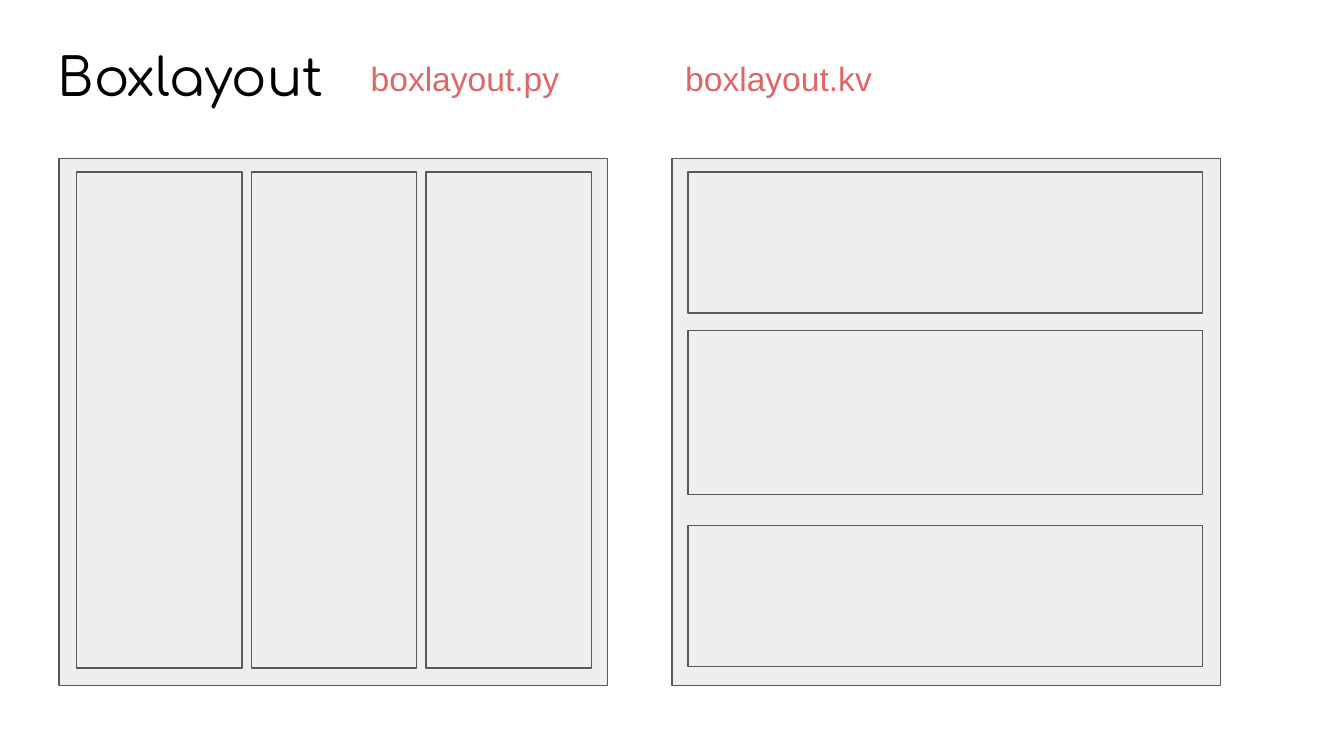
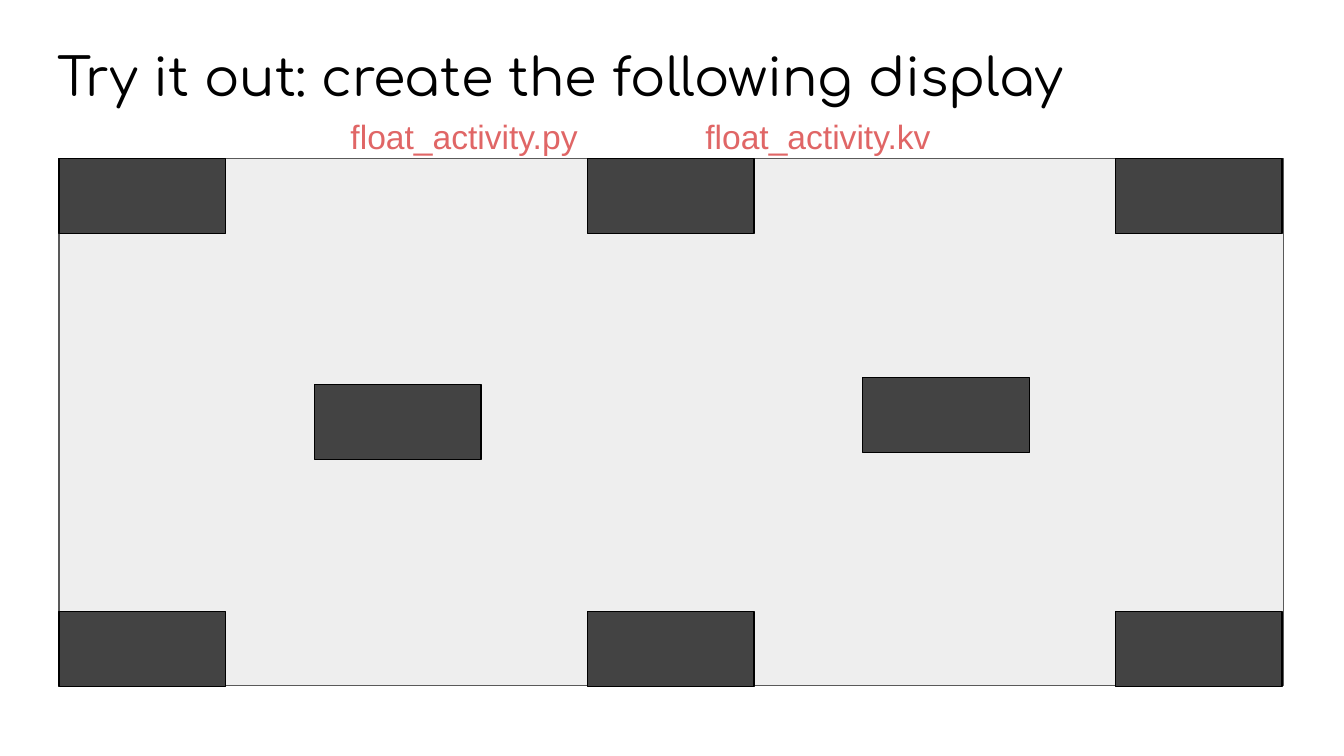
from itertools import product

from pptx import Presentation
from pptx import util as u
from pptx.dml.color import RGBColor
from pptx.enum import shapes, text

# Shared look
BLACK = RGBColor(0x00, 0x00, 0x00)
CORAL = RGBColor(0xE0, 0x66, 0x66)
PALE = RGBColor(0xEE, 0xEE, 0xEE)
GREY = RGBColor(0x59, 0x59, 0x59)
CHARCOAL = RGBColor(0x43, 0x43, 0x43)

TITLE_FONT = {"name": "Comfortaa", "size": u.Pt(28), "bold": False}
FILE_FONT = {"name": "Arial", "size": u.Pt(18)}
FRAME = {"word_wrap": True, "auto_size": text.MSO_AUTO_SIZE.NONE,
         "vertical_anchor": text.MSO_ANCHOR.TOP,
         **{f"margin_{side}": u.Inches(0.1)
            for side in ("left", "right", "top", "bottom")}}

PANEL_TOP, PANEL_HEIGHT = 1.18, 3.92
LEFT_MARGIN = 0.44


def apply(target, values):
    for name, value in values.items():
        setattr(target, name, value)


def write(shape, words, font, color):
    apply(shape.text_frame, FRAME)
    paragraph = shape.text_frame.paragraphs[0]
    paragraph.alignment = text.PP_ALIGN.LEFT
    run = paragraph.add_run()
    run.text = words
    apply(run.font, font)
    run.font.color.rgb = color


def add_titled_slide(presentation, words, width):
    slide = presentation.slides.add_slide(presentation.slide_layouts[5])
    title = slide.shapes.title
    apply(title, {"left": u.Inches(0.33), "top": u.Inches(0.23),
                  "width": u.Inches(width), "height": u.Inches(0.63)})
    write(title, words, TITLE_FONT, BLACK)
    return slide


def add_file_name(slide, words, left, top, width):
    box = slide.shapes.add_textbox(*map(u.Inches, (left, top, width, 0.5)))
    write(box, words, FILE_FONT, CORAL)


def add_box(slide, left, top, width, height, fill=PALE, line=GREY):
    box = slide.shapes.add_shape(shapes.MSO_SHAPE.RECTANGLE,
                                 *map(u.Inches, (left, top, width, height)))
    box.shadow.inherit = False
    box.fill.solid()
    box.fill.fore_color.rgb = fill
    box.line.color.rgb = line
    box.line.width = u.Pt(0.75)


def add_boxlayout_slide(presentation):
    slide = add_titled_slide(presentation, "Boxlayout", 6.37)
    for words, left in (("boxlayout.py", 2.66), ("boxlayout.kv", 5)):
        add_file_name(slide, words, left, 0.33, 1.86)

    # Horizontal layout: three equal columns
    add_box(slide, LEFT_MARGIN, PANEL_TOP, 4.08, PANEL_HEIGHT)
    for column in range(3):
        add_box(slide, 0.57 + 1.3 * column, 1.28, 1.23, 3.69)

    # Vertical layout: outer rows, then the taller middle row
    add_box(slide, 5, PANEL_TOP, 4.08, PANEL_HEIGHT)
    for top, height in ((1.28, 1.05), (3.91, 1.05), (2.46, 1.22)):
        add_box(slide, 5.12, top, 3.83, height)


def add_activity_slide(presentation):
    slide = add_titled_slide(
        presentation, "Try it out: create the following display", 8.89)
    add_box(slide, LEFT_MARGIN, PANEL_TOP, 9.11, PANEL_HEIGHT)

    # Buttons along both edges, then the two in the middle
    edges = product((LEFT_MARGIN, 4.37, 8.3), (PANEL_TOP, 4.55))
    for left, top in (*edges, (2.34, 2.86), (6.42, 2.81)):
        add_box(slide, left, top, 1.24, 0.56, CHARCOAL, BLACK)

    for words, left in (("float_activity.py", 2.51),
                        ("float_activity.kv", 5.15)):
        add_file_name(slide, words, left, 0.76, 2.14)


def main():
    presentation = Presentation()
    # Widescreen, 16:9
    presentation.slide_width = u.Inches(10)
    presentation.slide_height = u.Inches(10) * 9 // 16
    add_boxlayout_slide(presentation)
    add_activity_slide(presentation)
    presentation.save("out.pptx")


if __name__ == "__main__":
    main()
